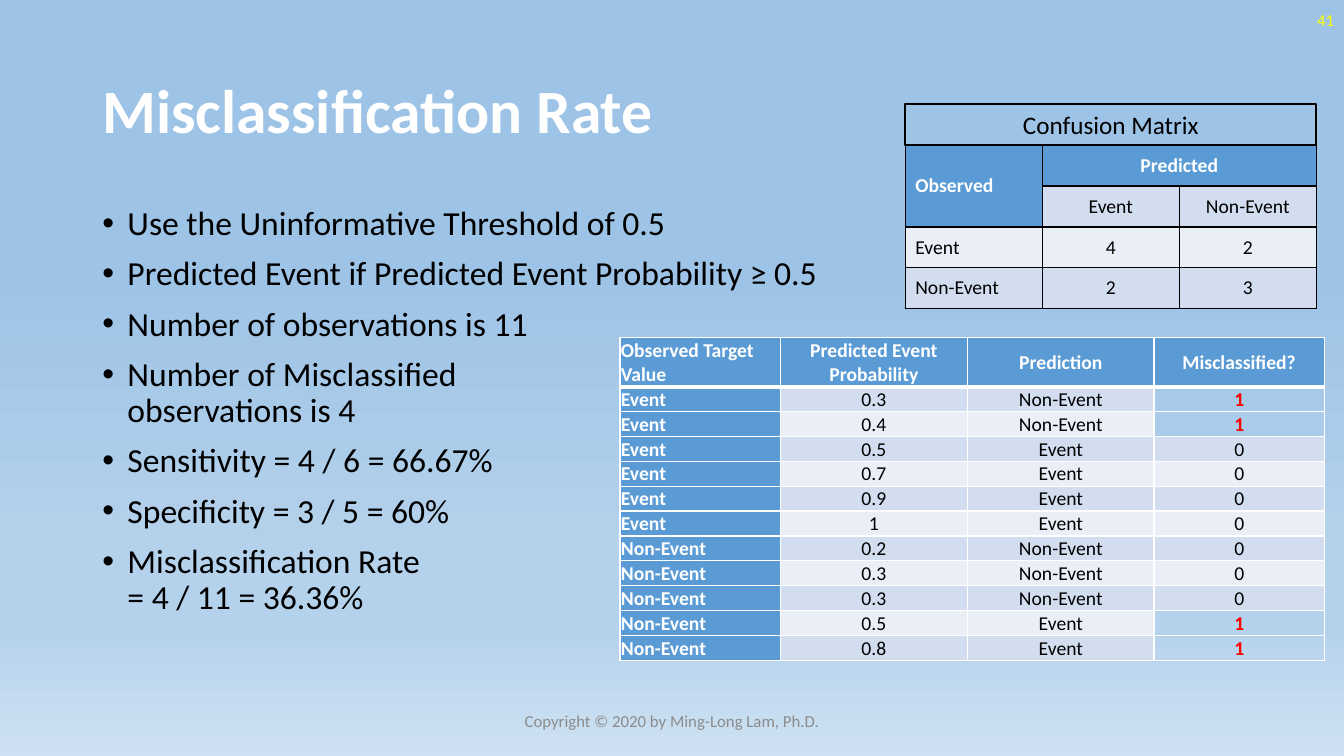
from lxml import etree
from pptx import Presentation
from pptx.dml.color import RGBColor
from pptx.enum import shapes, text
from pptx.oxml import ns
from pptx.util import Pt

COLORS = {
    "white": "FFFFFF", "black": "000000", "yellow": "FFFF00", "red": "FF0000",
    "gray": "8C8C8C", "blue": "5B9BD5", "band": "D2DEEF", "light_band": "EAEFF7",
    "sky": "9DC3E6", "pale_sky": "B5D2EC", "horizon": "CEE1F2",
}
FONT = "Calibri"
LEFT, CENTER, RIGHT = text.PP_ALIGN.LEFT, text.PP_ALIGN.CENTER, text.PP_ALIGN.RIGHT
MIDDLE = text.MSO_ANCHOR.MIDDLE
NO_STYLE = "{2D5ABB26-0587-4C30-8999-92F81FD0307C}"

BULLETS = [
    "Use the Uninformative Threshold of 0.5",
    "Predicted Event if Predicted Event Probability ≥ 0.5",
    "Number of observations is 11",
    "Number of Misclassified\nobservations is 4",
    "Sensitivity = 4 / 6 = 66.67%",
    "Specificity = 3 / 5 = 60%",
    "Misclassification Rate\n= 4 / 11 = 36.36%",
]
HEADERS = ["Observed Target Value", "Predicted Event Probability",
           "Prediction", "Misclassified?"]
OBSERVATIONS = [
    ("Event", "0.3", "Non-Event"), ("Event", "0.4", "Non-Event"),
    ("Event", "0.5", "Event"), ("Event", "0.7", "Event"),
    ("Event", "0.9", "Event"), ("Event", "1", "Event"),
    ("Non-Event", "0.2", "Non-Event"), ("Non-Event", "0.3", "Non-Event"),
    ("Non-Event", "0.3", "Non-Event"), ("Non-Event", "0.5", "Event"),
    ("Non-Event", "0.8", "Event"),
]
CONFUSION = [
    ["Observed", "Predicted", ""],
    ["", "Event", "Non-Event"],
    ["Event", "4", "2"],
    ["Non-Event", "2", "3"],
]


def rgb(color):
    return RGBColor.from_string(COLORS[color])


def write(paragraph, words, size, color, bold=False, align=LEFT):
    paragraph.text = words
    paragraph.alignment = align
    font = paragraph.font
    font.name, font.size, font.bold = FONT, Pt(size), bold
    font.color.rgb = rgb(color)


def set_background(slide, stops):
    fill = slide.background.fill
    fill.gradient()
    fill.gradient_angle = 270
    stop_list = slide.element.find(".//" + ns.qn("a:gsLst"))
    for old_stop in list(stop_list):
        stop_list.remove(old_stop)
    for percent, color in stops:
        stop = etree.SubElement(stop_list, ns.qn("a:gs"), pos=str(percent * 1000))
        etree.SubElement(stop, ns.qn("a:srgbClr"), val=COLORS[color])


def add_text(slide, box, words, size, color, bold=False, align=LEFT):
    frame = slide.shapes.add_textbox(*map(Pt, box)).text_frame
    frame.word_wrap = True
    frame.vertical_anchor = MIDDLE
    write(frame.paragraphs[0], words, size, color, bold, align)
    frame.paragraphs[0].line_spacing = 0.9 if bold else 1.0


def add_bullets(slide, box, items):
    frame = slide.shapes.add_textbox(*map(Pt, box)).text_frame
    frame.word_wrap = True
    for index, item in enumerate(items):
        paragraph = frame.add_paragraph() if index else frame.paragraphs[0]
        paragraph.line_spacing = 0.9
        paragraph.space_before = Pt(10 if index else 0)
        properties = paragraph._p.get_or_add_pPr()
        properties.set("marL", str(Pt(18)))
        properties.set("indent", str(-Pt(18)))
        etree.SubElement(properties, ns.qn("a:buFont"), typeface="Arial")
        etree.SubElement(properties, ns.qn("a:buChar"), char="•")
        write(paragraph, item, 24, "black")


def add_table(slide, left, top, widths, heights):
    frame = slide.shapes.add_table(len(heights), len(widths), Pt(left), Pt(top),
                                   Pt(sum(widths)), Pt(sum(heights)))
    frame.element.find(".//" + ns.qn("a:tableStyleId")).text = NO_STYLE
    table = frame.table
    table.first_row = table.horz_banding = False
    for column, width in zip(table.columns, widths):
        column.width = Pt(width)
    for row, height in zip(table.rows, heights):
        row.height = Pt(height)
    return table


def set_borders(cell, color, top=1, bottom=1):
    properties = cell._tc.get_or_add_tcPr()
    sides = [("a:lnL", 1), ("a:lnR", 1), ("a:lnT", top), ("a:lnB", bottom)]
    for index, (side, width) in enumerate(sides):
        line = etree.Element(ns.qn(side), w=str(Pt(width)))
        solid = etree.SubElement(line, ns.qn("a:solidFill"))
        etree.SubElement(solid, ns.qn("a:srgbClr"), val=COLORS[color])
        properties.insert(index, line)


def fill_cell(cell, words, fill, color="black", bold=False, align=CENTER):
    cell.vertical_anchor = MIDDLE
    if fill:
        cell.fill.solid()
        cell.fill.fore_color.rgb = rgb(fill)
    else:
        cell.fill.background()
    write(cell.text_frame.paragraphs[0], words, 14, color, bold, align)


def add_observations(slide):
    table = add_table(slide, 442.8, 241.2, [114.5, 133.9, 133.2, 121.7],
                      [35] + [17.8] * len(OBSERVATIONS))
    rows = [HEADERS] + [(observed, probability, predicted,
                         str(int(observed != predicted)))
                        for observed, probability, predicted in OBSERVATIONS]
    for r, row in enumerate(rows):
        for c, words in enumerate(row):
            cell = table.cell(r, c)
            cell.margin_left = cell.margin_right = cell.margin_top = Pt(0.7)
            cell.margin_bottom = Pt(0)
            if r == 0 or c == 0:
                fill_cell(cell, words, "blue", "white", True, CENTER if c else LEFT)
            elif c == 3 and words == "1":
                fill_cell(cell, words, None, "red", True)
            else:
                fill_cell(cell, words, "band" if r % 2 else "light_band")
            set_borders(cell, "white", top=3 if r == 1 else 1,
                        bottom=3 if r == 0 else 1)


def add_confusion_matrix(slide):
    table = add_table(slide, 646.6, 103.7, [97.9] * 3, [29.2] * 4)
    table.cell(0, 0).merge(table.cell(1, 0))
    table.cell(0, 1).merge(table.cell(0, 2))
    for r, row in enumerate(CONFUSION):
        for c, words in enumerate(row):
            cell = table.cell(r, c)
            if not cell.is_spanned:
                align = CENTER if c else LEFT
                if cell.is_merge_origin:
                    fill_cell(cell, words, "blue", "white", True, align)
                else:
                    fill_cell(cell, words, "light_band" if r == 2 else "band",
                              align=align)
            set_borders(cell, "black")


def add_caption(slide, box, words):
    shape = slide.shapes.add_shape(shapes.MSO_SHAPE.RECTANGLE, *map(Pt, box))
    shape.shadow.inherit = False
    shape.fill.background()
    shape.line.color.rgb = rgb("black")
    shape.line.width = Pt(1.5)
    shape.text_frame.word_wrap = True
    shape.text_frame.vertical_anchor = MIDDLE
    write(shape.text_frame.paragraphs[0], words, 18, "black", align=CENTER)


def main():
    presentation = Presentation()
    presentation.slide_width, presentation.slide_height = Pt(960), Pt(540)
    slide = presentation.slides.add_slide(presentation.slide_layouts[6])
    set_background(slide, [(35, "sky"), (74, "pale_sky"), (83, "pale_sky"),
                           (100, "horizon")])

    # Title, bullets and slide number
    add_text(slide, (66, 28.8, 828, 104.4), "Misclassification Rate", 44, "white", True)
    add_bullets(slide, (66, 144, 828, 342.7), BULLETS)
    add_text(slide, (744, 0, 216, 28.8), "41", 12, "yellow", align=RIGHT)

    # Tables
    add_observations(slide)
    add_confusion_matrix(slide)

    # Footer and matrix caption
    add_text(slide, (318, 500.5, 324, 28.8), "Copyright © 2020 by Ming-Long Lam, Ph.D.",
             12, "gray", align=CENTER)
    add_caption(slide, (646.6, 74.4, 293.7, 29.1), "Confusion Matrix")

    presentation.save("out.pptx")


if __name__ == "__main__":
    main()
